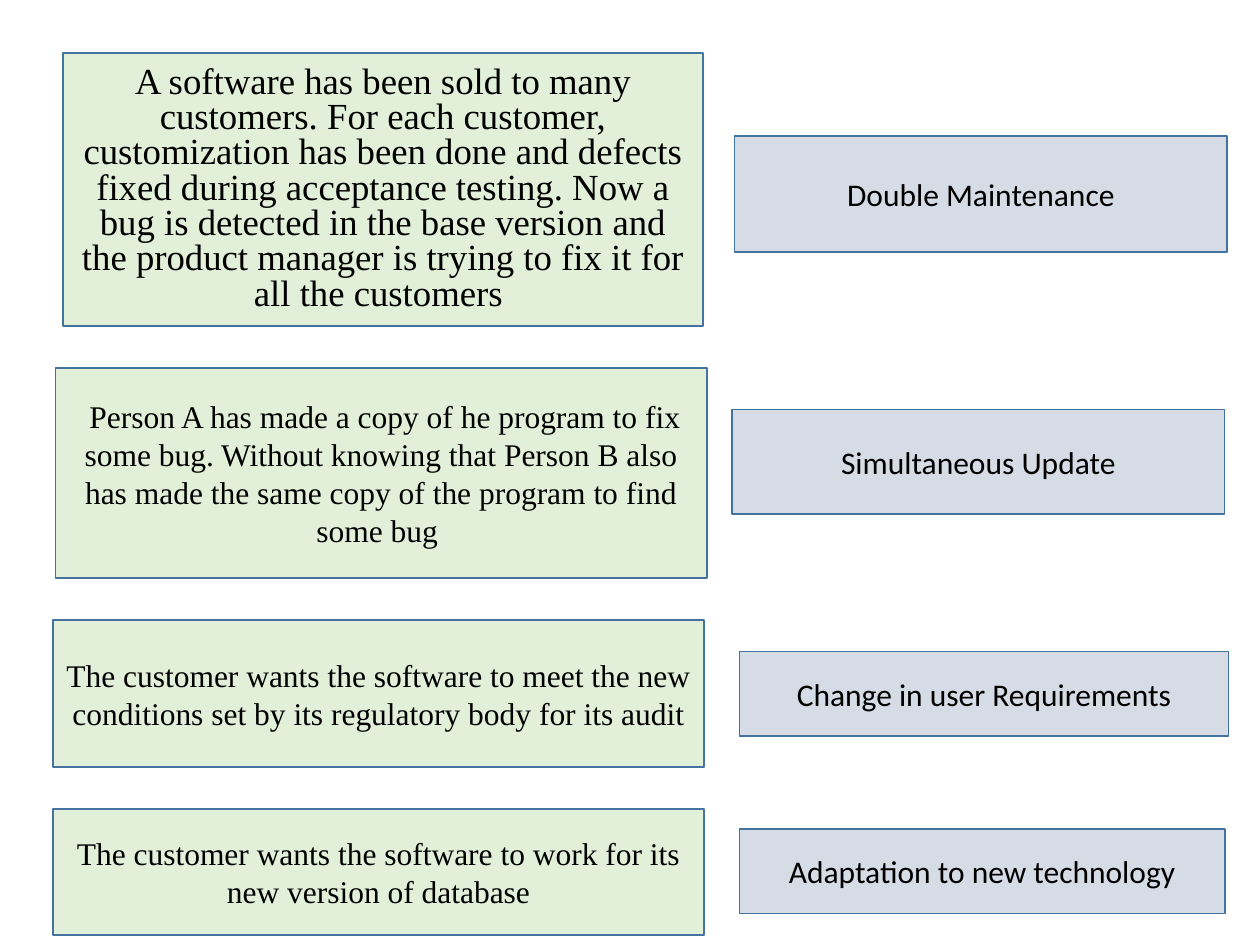
from pptx import Presentation
from pptx.dml.color import RGBColor
from pptx.enum.shapes import MSO_SHAPE
from pptx.enum.text import MSO_ANCHOR, PP_ALIGN
from pptx.util import Inches, Pt

GREEN = RGBColor(0xE2, 0xF0, 0xD9)
GREY_BLUE = RGBColor(0xD6, 0xDC, 0xE5)
BORDER = RGBColor(0x43, 0x73, 0x9E)
BLACK = RGBColor(0, 0, 0)


class SlideBuilder:
    """Holds the style and the current slide."""

    def __init__(self, page):
        self.page = page

    def box(self, text, place, fill, font, size=18):
        box = self.page.shapes.add_shape(
            MSO_SHAPE.RECTANGLE, *[Inches(length) for length in place])
        box.shadow.inherit = False
        box.fill.solid()
        box.fill.fore_color.rgb = fill
        box.line.color.rgb = BORDER
        box.line.width = Pt(1)
        frame = box.text_frame
        frame.word_wrap = True
        frame.vertical_anchor = MSO_ANCHOR.MIDDLE
        frame.text = text
        para = frame.paragraphs[0]
        para.alignment = PP_ALIGN.CENTER
        for span in para.runs:
            span.font.name = font
            span.font.size = Pt(size)
            span.font.color.rgb = BLACK
        return para

    def scenario(self, text, place, size=18):
        return self.box(text, place, GREEN, "Times New Roman", size)

    def problem(self, text, place):
        return self.box(text, place, GREY_BLUE, "Calibri")


deck = Presentation()
deck.slide_width, deck.slide_height = Inches(10), Inches(7.5)
builder = SlideBuilder(deck.slides.add_slide(deck.slide_layouts[6]))

# First scenario: larger text with tight lines
opening = builder.scenario(
    "A software has been sold to many customers. For each customer, "
    "customization has been done and defects fixed during acceptance testing. "
    "Now a bug is detected in the base version and the product manager is "
    "trying to fix it for all the customers ",
    (0.5, 0.42, 5.08, 2.17), size=21)
opening.line_spacing = 0.8
opening.space_before = Pt(7.5)

# Remaining scenarios
SCENARIOS = [
    (" Person A has made a copy of he program to fix some bug. Without knowing "
     "that Person B also has made the same copy of the program to find some bug ",
     (0.44, 2.92, 5.17, 1.67)),
    ("The customer wants the software to meet the new conditions set by its "
     "regulatory body for its audit", (0.42, 4.92, 5.17, 1.17)),
    ("The customer wants the software to work for its new version of database",
     (0.42, 6.42, 5.17, 1)),
]
for text, place in SCENARIOS:
    builder.scenario(text, place)

# Matching problems
PROBLEMS = [
    ("Double Maintenance", (5.83, 1.08, 3.91, 0.92)),
    ("Simultaneous Update", (5.81, 3.25, 3.91, 0.83)),
    ("Change in user Requirements", (5.87, 5.17, 3.88, 0.67)),
    ("Adaptation to new technology", (5.87, 6.58, 3.85, 0.67)),
]
for text, place in PROBLEMS:
    builder.problem(text, place)

deck.save("out.pptx")
